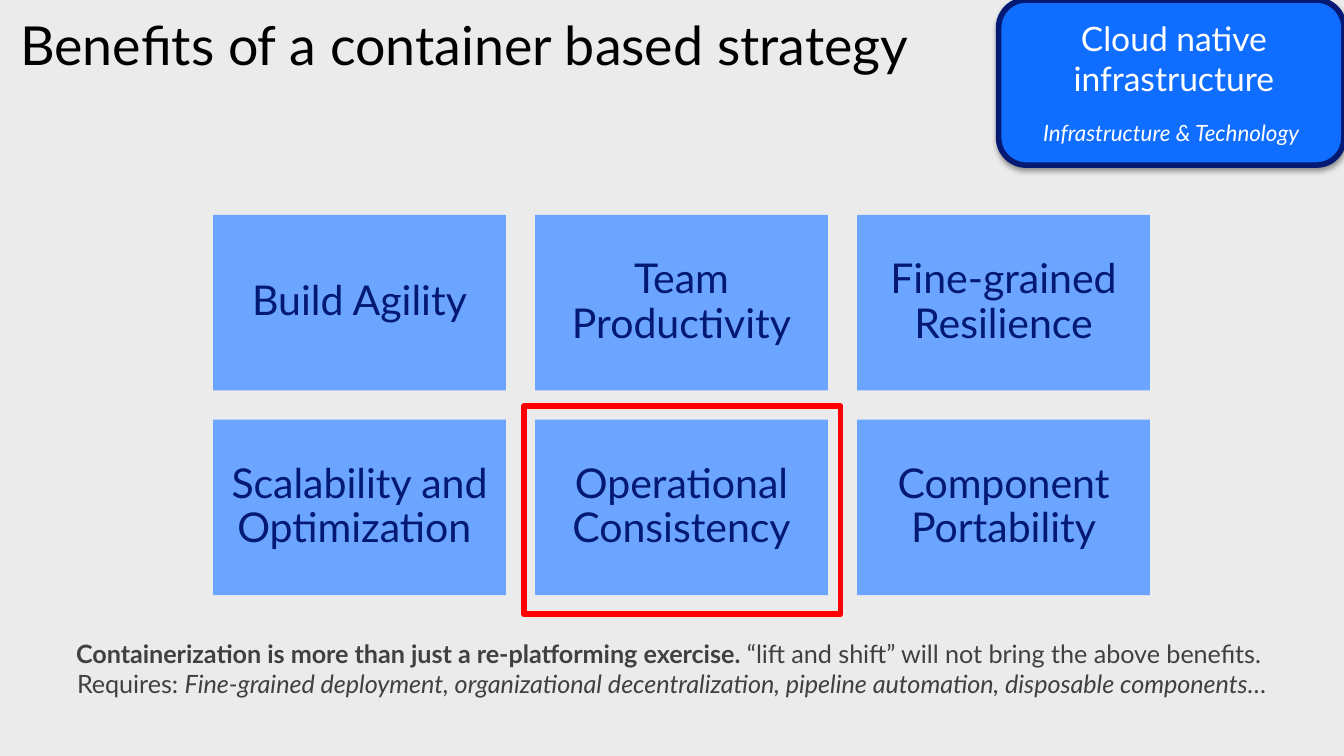
from lxml import etree
from pptx import Presentation
from pptx.dml.color import RGBColor
from pptx.enum import shapes, text
from pptx.oxml import parse_xml
from pptx.util import Pt

FONT = "Lato"
PAGE = RGBColor(0xEB, 0xEB, 0xEB)
BLACK = RGBColor(0, 0, 0)
GRAY = RGBColor(0x40, 0x40, 0x40)
WHITE = RGBColor(0xFF, 0xFF, 0xFF)
NAVY = RGBColor(0x03, 0x19, 0x73)
LIGHT_BLUE = RGBColor(0x6B, 0xA5, 0xFF)
BRIGHT_BLUE = RGBColor(0x0F, 0x6D, 0xFF)
RED = RGBColor(0xFF, 0, 0)

BENEFITS = [
    ["Build Agility", "Team Productivity", "Fine-grained Resilience"],
    ["Scalability and Optimization ", "Operational Consistency", "Component Portability"],
]
CARD_LEFT, CARD_TOP = 114.2, 115.2
CARD_WIDTH, CARD_HEIGHT = 156.8, 94
CARD_GAP = 15.7

SHADOW = (
    '<a:effectLst xmlns:a="http://schemas.openxmlformats.org/drawingml/2006/main">'
    '<a:outerShdw blurRad="39400" dist="20300" dir="5400000" rotWithShape="0">'
    '<a:srgbClr val="000000"><a:alpha val="38000"/></a:srgbClr>'
    "</a:outerShdw></a:effectLst>"
)


def write(frame, paragraphs, size, color, align=text.PP_ALIGN.CENTER,
          anchor=text.MSO_ANCHOR.TOP, inset=None, spacing=None):
    """Fill a frame; each paragraph is a list of (words, style) runs."""
    frame.word_wrap = True
    frame.vertical_anchor = anchor
    if inset is not None:
        frame.margin_left = frame.margin_right = Pt(inset)
        frame.margin_top = frame.margin_bottom = Pt(inset)
    for index, runs in enumerate(paragraphs):
        paragraph = frame.add_paragraph() if index else frame.paragraphs[0]
        paragraph.alignment = align
        paragraph.line_spacing = spacing
        paragraph.font.name = FONT
        paragraph.font.size = Pt(size)
        paragraph.font.color.rgb = color
        for words, style in runs:
            run = paragraph.add_run()
            run.text = words
            if style == "bold":
                run.font.bold = True
            elif style == "italic":
                run.font.italic = True


def add_text(slide, left, top, width, height, paragraphs, size, color, **layout):
    box = slide.shapes.add_textbox(Pt(left), Pt(top), Pt(width), Pt(height))
    write(box.text_frame, paragraphs, size, color, **layout)


def add_panel(slide, preset, left, top, width, height, fill=None, line=None):
    panel = slide.shapes.add_shape(preset, Pt(left), Pt(top), Pt(width), Pt(height))
    panel.shadow.inherit = False
    if fill is None:
        panel.fill.background()
    else:
        panel.fill.solid()
        panel.fill.fore_color.rgb = fill
    if line is None:
        panel.line.fill.background()
    else:
        panel.line.color.rgb = line
        panel.line.width = Pt(3)
    return panel


def add_benefits(slide):
    for row, names in enumerate(BENEFITS):
        for column, name in enumerate(names):
            card = add_panel(slide, shapes.MSO_SHAPE.RECTANGLE,
                             CARD_LEFT + column * (CARD_WIDTH + CARD_GAP),
                             CARD_TOP + row * (CARD_HEIGHT + CARD_GAP),
                             CARD_WIDTH, CARD_HEIGHT, fill=LIGHT_BLUE)
            write(card.text_frame, [[(name, None)]], 22, NAVY,
                  anchor=text.MSO_ANCHOR.MIDDLE, inset=6.6, spacing=0.9)


def add_badge(slide):
    badge = add_panel(slide, shapes.MSO_SHAPE.ROUNDED_RECTANGLE,
                      535, 0, 185, 88.5, fill=BRIGHT_BLUE, line=NAVY)
    properties = badge.fill._xPr
    properties.replace(properties.find("{*}effectLst"), parse_xml(SHADOW))
    write(badge.text_frame, [[("Infrastructure & Technology", "italic")]], 12, WHITE,
          anchor=text.MSO_ANCHOR.BOTTOM, inset=6, spacing=0.9)
    add_text(slide, 554.4, 5.8, 149, 51,
             [[("Cloud native", None)], [("infrastructure", None)]], 18, WHITE)


def main():
    deck = Presentation()
    deck.slide_width, deck.slide_height = Pt(720), Pt(405)
    slide = deck.slides.add_slide(deck.slide_layouts[6])
    slide.background.fill.solid()
    slide.background.fill.fore_color.rgb = PAGE

    add_text(slide, 10.8, 10, 505.4, 42.5,
             [[("Benefits of a container based strategy", None)]], 28.8, BLACK,
             align=text.PP_ALIGN.LEFT, inset=0, spacing=0.9)
    add_text(slide, 0, 338.4, 720, 40.3, [
        [("Containerization is more than just a re-platforming exercise. ", "bold"),
         ("“lift and shift” will not bring the above benefits. ", None)],
        [("Requires: ", None),
         ("Fine-grained deployment, organizational decentralization, "
          "pipeline automation, disposable components…", "italic")],
    ], 13.5, GRAY)
    add_benefits(slide)
    add_badge(slide)
    highlight = add_panel(slide, shapes.MSO_SHAPE.ROUNDED_RECTANGLE,
                          280.6, 217.6, 169.8, 111.5, line=RED)
    highlight.adjustments[0] = 0

    deck.save("out.pptx")


if __name__ == "__main__":
    main()
